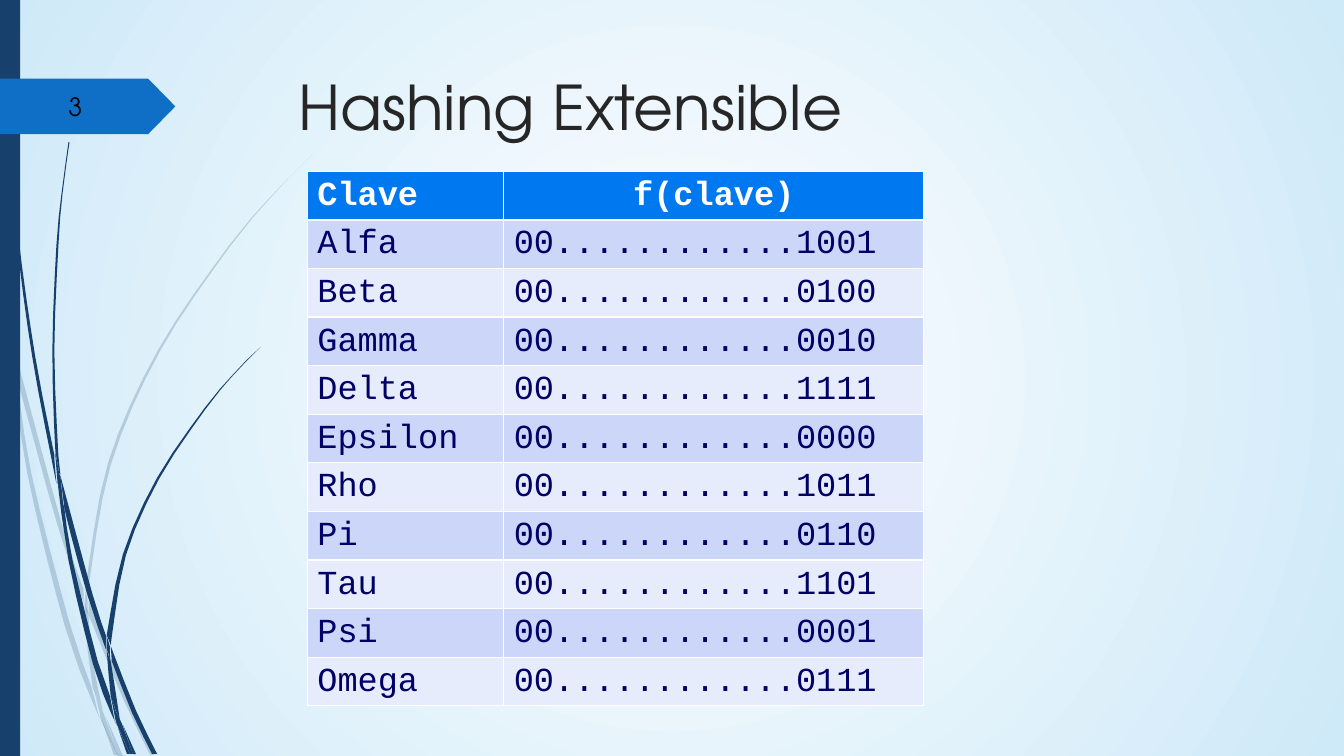
import itertools
import math
from typing import NamedTuple

import pptx
import pptx.dml.color
import pptx.enum.shapes
import pptx.enum.text
import pptx.oxml
import pptx.oxml.ns
import pptx.util

Pt = pptx.util.Pt
ALIGN = pptx.enum.text.PP_ALIGN
SHAPE = pptx.enum.shapes.MSO_SHAPE
qn = pptx.oxml.ns.qn

HEADING_FONT = "TeX Gyre Adventor"
TABLE_FONT = "Courier New"
NAVY = "17406D"
GRID = 0.72  # points per unit of the grass coordinates
PIECE = 40  # longest straight piece of a curve, in grid units
ROW_HEIGHT = 33.4
COLUMN_WIDTHS = (140.4, 300.2)

Point = tuple[float, float]


class Blade(NamedTuple):
    """A blade of grass: one edge out, the other edge back."""
    out: list[Point]
    back: list[Point]


class Entry(NamedTuple):
    key: str
    ending: str


PALE_BLADES = [
    Blade([(10, 349), (7, 321), (0, 282)], [(0, 299), (9, 343)]),
    Blade([(17, 376), (57, 521), (83, 598)], [(83, 585), (61, 519), (14, 345)]),
    Blade([(88, 596), (92, 607), (126, 691), (153, 749)], [(149, 749), (122, 693), (88, 610)]),
    Blade([(105, 711), (122, 750)], [(118, 750)]),
    Blade([(11, 350), (27, 469), (64, 620), (90, 692), (99, 713)],
          [(97, 706), (91, 682), (69, 618), (31, 469), (17, 376)]),
    Blade([(84, 599), (87, 645), (92, 682), (96, 691), (104, 710)],
          [(102, 705), (90, 645), (88, 610), (88, 608)]),
    Blade([(88, 594), (88, 582), (110, 461), (159, 348), (228, 245), (267, 198), (288, 175), (310, 153)],
          [(288, 175), (267, 197), (227, 244), (157, 347), (107, 460), (85, 582), (85, 585)]),
    Blade([(101, 714), (117, 749)], [(113, 749)]),
    Blade([(84, 598), (86, 607), (87, 609)], [(87, 595), (85, 586)]),
    Blade([(93, 683), (96, 692), (104, 711), (118, 750)], [(117, 750), (100, 714), (99, 707)]),
]
DARK_BLADES = [
    Blade([(3, 0), (3, 48), (7, 110), (16, 232), (32, 354), (55, 475), (56, 480)],
          [(54, 456), (54, 452), (35, 354), (18, 232), (8, 109), (4, 48), (3, 0)]),
    Blade([(60, 472), (64, 505), (87, 591), (105, 644)], [(105, 632), (105, 630), (92, 590), (60, 472)]),
    Blade([(110, 641), (113, 649), (135, 705), (156, 748)], [(151, 748), (131, 707), (111, 656)]),
    Blade([(57, 477), (68, 556), (92, 658), (110, 707), (116, 720)],
          [(114, 716), (109, 690), (97, 656), (72, 556), (64, 505)]),
    Blade([(60, 471), (58, 452), (54, 348), (58, 244), (62, 193), (69, 141)],
          [(68, 141), (61, 193), (56, 244), (52, 348), (55, 448), (59, 470)]),
    Blade([(122, 719), (135, 748)], [(132, 748)]),
    Blade([(55, 449), (59, 471), (60, 472)], [(63, 504), (57, 477), (55, 453)]),
    Blade([(110, 640), (111, 632), (125, 551), (158, 475), (204, 406), (230, 374), (244, 359), (259, 344)],
          [(244, 358), (230, 373), (203, 405), (156, 474), (122, 550), (106, 630)]),
    Blade([(117, 722), (129, 748)], [(126, 748)]),
    Blade([(106, 645), (110, 691), (115, 705), (120, 717)], [(119, 714), (110, 656), (108, 651)]),
    Blade([(106, 631), (109, 641), (109, 655)], [(108, 649), (106, 644), (106, 633)]),
    Blade([(110, 691), (115, 706), (121, 718), (132, 748)], [(129, 748), (117, 721), (115, 716)]),
]
ENTRIES = [
    Entry("Alfa", "1001"), Entry("Beta", "0100"), Entry("Gamma", "0010"),
    Entry("Delta", "1111"), Entry("Epsilon", "0000"), Entry("Rho", "1011"),
    Entry("Pi", "0110"), Entry("Tau", "1101"), Entry("Psi", "0001"), Entry("Omega", "0111"),
]


def colour(code: str) -> pptx.dml.color.RGBColor:
    return pptx.dml.color.RGBColor.from_string(code)


def write(frame, text: str, *, size: float, code: str, font: str, bold: bool = False,
          align=ALIGN.LEFT, spacing: float = 1.0) -> None:
    para = frame.paragraphs[0]
    para.alignment = align
    para.line_spacing = spacing
    span = para.add_run()
    span.text = text
    span.font.size = Pt(size)
    span.font.name = font
    span.font.bold = bold
    span.font.color.rgb = colour(code)


def paint(shape, code: str, opacity: int = 100) -> None:
    shape.shadow.inherit = False
    shape.line.fill.background()
    shape.fill.solid()
    shape.fill.fore_color.rgb = colour(code)
    if opacity < 100:
        tint = shape.element.spPr.find(qn("a:solidFill")).find(qn("a:srgbClr"))
        tint.append(pptx.oxml.parse_xml(
            f'<a:alpha {pptx.oxml.ns.nsdecls("a")} val="{opacity * 1000}"/>'))


def smooth(anchors: list[Point]) -> list[Point]:
    """Points of a Catmull-Rom curve through the anchors."""
    padded = [anchors[0], *anchors, anchors[-1]]
    curve = [anchors[0]]
    for a, b, c, d in zip(padded, padded[1:], padded[2:], padded[3:]):
        steps = math.ceil(math.dist(b, c) / PIECE)
        for step in range(1, steps + 1):
            t = step / steps
            x, y = (q + t * (r - p) / 2 + t**2 * (p - 2.5 * q + 2 * r - s / 2)
                    + t**3 * (1.5 * (q - r) + (s - p) / 2)
                    for p, q, r, s in zip(a, b, c, d))
            curve.append((x, y))
    return curve


def draw_blade(page, blade: Blade, opacity: int) -> None:
    outline = [(Pt(x * GRID), Pt(y * GRID))
               for x, y in itertools.chain(smooth(blade.out), smooth(blade.back))]
    builder = page.shapes.build_freeform(*outline[0])
    builder.add_line_segments(outline[1:], close=True)
    paint(builder.convert_to_shape(), NAVY, opacity)


def fill_background(page) -> None:
    fill = page.background.fill
    fill.gradient()
    for stop, code in zip(fill.gradient_stops, ("FFFFFF", "CEE9F8")):
        stop.color.rgb = colour(code)
    gradient = page.element.find(".//" + qn("a:gradFill"))
    gradient.remove(gradient.find(qn("a:lin")))
    gradient.append(pptx.oxml.parse_xml(
        f'<a:path {pptx.oxml.ns.nsdecls("a")} path="circle">'
        '<a:fillToRect l="50000" t="50000" r="50000" b="50000"/></a:path>'))


def fill_cell(cell, text: str, fill: str, code: str, bold: bool = False, align=ALIGN.LEFT) -> None:
    cell.margin_left = cell.margin_right = Pt(7.2)
    cell.margin_top, cell.margin_bottom = Pt(4.3), Pt(3.6)
    write(cell.text_frame, text, size=24, code=code, font=TABLE_FONT,
          bold=bold, align=align, spacing=0.93)
    cell.fill.solid()
    cell.fill.fore_color.rgb = colour(fill)
    properties = cell._tc.get_or_add_tcPr()
    for index, side in enumerate(("lnR", "lnB")):
        properties.insert(index, pptx.oxml.parse_xml(
            f'<a:{side} {pptx.oxml.ns.nsdecls("a")} w="{Pt(0.75)}"><a:solidFill>'
            f'<a:srgbClr val="FFFFFF"/></a:solidFill></a:{side}>'))


def draw_table(page) -> None:
    count = len(ENTRIES) + 1
    table = page.shapes.add_table(count, 2, Pt(219.6), Pt(122.4), Pt(sum(COLUMN_WIDTHS)),
                                  Pt(count * ROW_HEIGHT)).table
    for column, width in zip(table.columns, COLUMN_WIDTHS):
        column.width = Pt(width)
    for row in table.rows:
        row.height = Pt(ROW_HEIGHT)
    fill_cell(table.cell(0, 0), "Clave", "0078F0", "FFFFFF", bold=True)
    fill_cell(table.cell(0, 1), "f(clave)", "0078F0", "FFFFFF", bold=True, align=ALIGN.CENTER)
    for row, entry in enumerate(ENTRIES, start=1):
        band = "CBD6F9" if row % 2 else "E7ECFC"
        fill_cell(table.cell(row, 0), entry.key, band, "000066")
        fill_cell(table.cell(row, 1), "00" + "." * 12 + entry.ending, band, "000066")


def main() -> None:
    deck = pptx.Presentation()
    deck.slide_width, deck.slide_height = Pt(960.48), Pt(540)
    page = deck.slides.add_slide(deck.slide_layouts[5])
    fill_background(page)

    # Grass, side bar and number arrow
    for blades, opacity in ((PALE_BLADES, 20), (DARK_BLADES, 100)):
        for blade in blades:
            draw_blade(page, blade, opacity)
    bar = page.shapes.add_shape(SHAPE.RECTANGLE, 0, 0, Pt(14.4), Pt(540))
    paint(bar, NAVY)
    arrow = page.shapes.add_shape(SHAPE.PENTAGON, Pt(-0.7), Pt(56.2), Pt(126), Pt(39.6))
    arrow.adjustments[0] = 0.49
    paint(arrow, "0F6FC6")

    # Title and slide number
    title = page.shapes.title
    title.left, title.top, title.width, title.height = Pt(205.9), Pt(48.2), Pt(702), Pt(71.3)
    title.text_frame.vertical_anchor = pptx.enum.text.MSO_ANCHOR.TOP
    title.text_frame.auto_size = pptx.enum.text.MSO_AUTO_SIZE.NONE
    write(title.text_frame, "Hashing Extensible", size=44, code="262626",
          font=HEADING_FONT, spacing=0.98)
    box = page.shapes.add_textbox(Pt(41.8), Pt(61.9), Pt(61.2), Pt(28.8))
    box.text_frame.word_wrap = True
    box.text_frame.vertical_anchor = pptx.enum.text.MSO_ANCHOR.MIDDLE
    write(box.text_frame, "3", size=18, code="000000", font=HEADING_FONT)

    # Keys and their hash values
    draw_table(page)
    deck.save("out.pptx")


if __name__ == "__main__":
    main()
